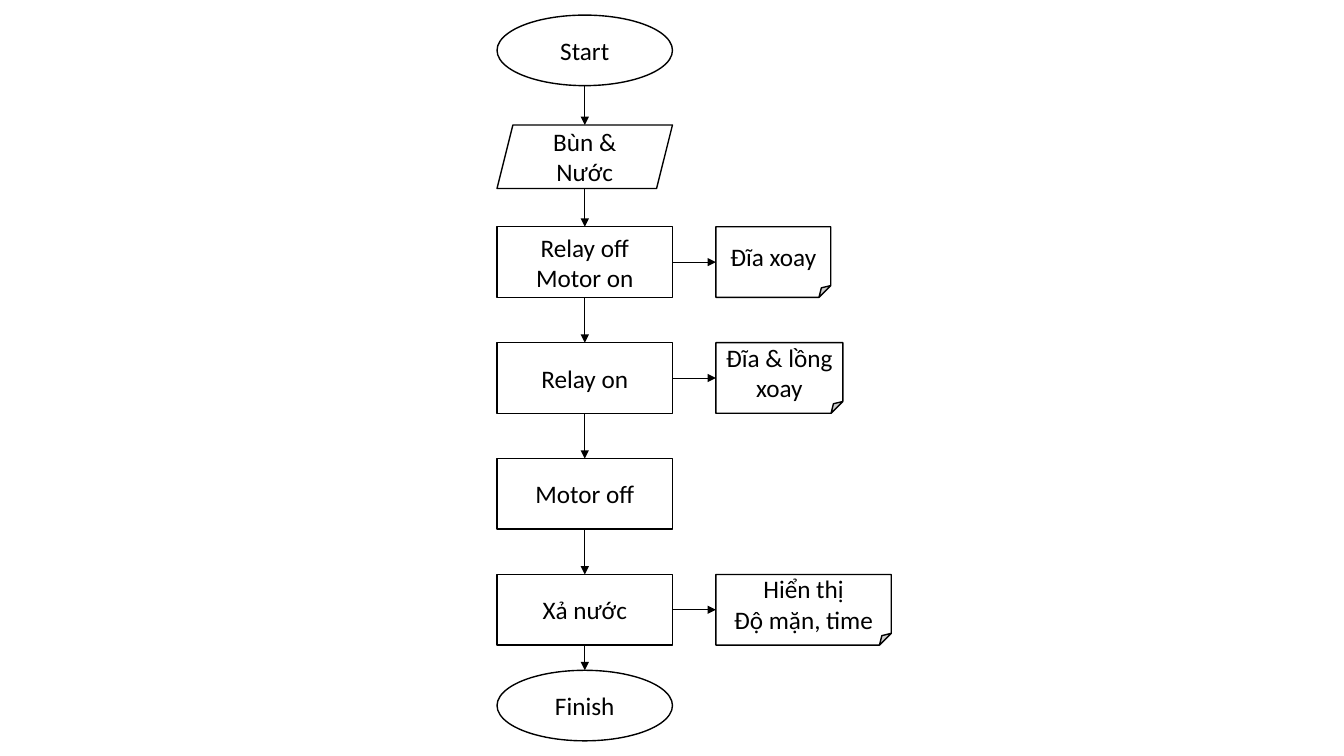
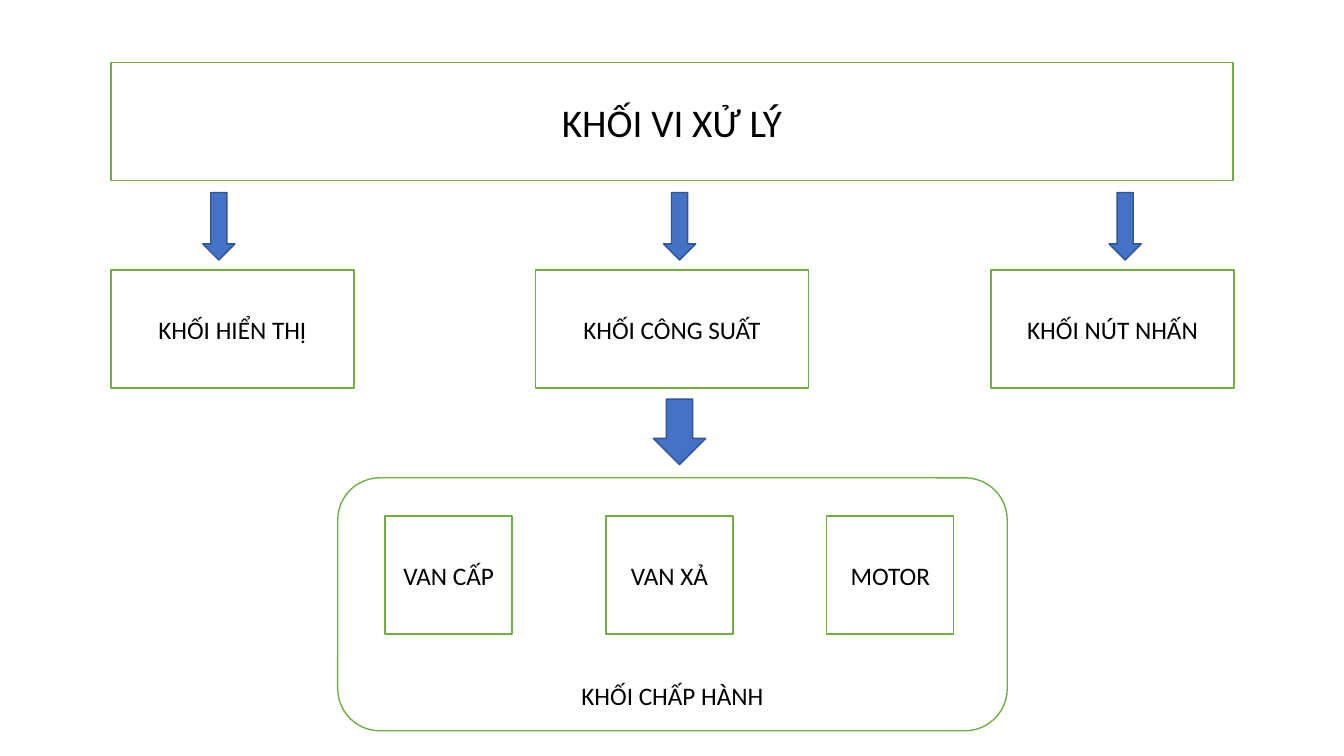
"""Builds two slides: the washing flowchart and the block diagram of the controller."""
from dataclasses import dataclass

from pptx import Presentation
from pptx.dml.color import RGBColor
from pptx.enum.shapes import MSO_CONNECTOR as Line, MSO_SHAPE as Kind
from pptx.enum.text import MSO_ANCHOR as Anchor, PP_ALIGN as Align
from pptx.oxml.ns import qn
from pptx.util import Inches, Pt
from lxml.etree import SubElement

TOP, LEFT, BOTTOM, RIGHT = range(4)


@dataclass(frozen=True)
class Theme:
    font: str = "Calibri"
    body: float = 18
    heading: float = 28
    line: float = 1
    thin: float = 0.5
    ink: str = "000000"
    paper: str = "FFFFFF"
    green: str = "70AD47"
    blue: str = "4472C4"
    navy: str = "325491"


def write(shape, text, *, font, size, color, anchor=Anchor.MIDDLE, bottom=0.05):
    frame = shape.text_frame
    frame.word_wrap = True
    frame.vertical_anchor = anchor
    frame.margin_bottom = Inches(bottom)
    frame.text = text
    for paragraph in frame.paragraphs:
        paragraph.alignment = Align.CENTER
        for run in paragraph.runs:
            run.font.name = font
            run.font.size = Pt(size)
            run.font.color.rgb = RGBColor.from_string(color)


class Deck:
    def __init__(self, theme):
        self.theme = theme
        self.show = Presentation()
        self.show.slide_width, self.show.slide_height = Inches(13.33), Inches(7.5)
        self.slide = None

    def new_slide(self):
        self.slide = self.show.slides.add_slide(self.show.slide_layouts[6])

    def group(self):
        return self.slide.shapes.add_group_shape().shapes

    def shape(self, kind, box, fill, outline, shapes=None):
        home = self.slide.shapes if shapes is None else shapes
        shape = home.add_shape(kind, *map(Inches, box))
        shape.shadow.inherit = False
        if fill is None:
            shape.fill.background()
        else:
            shape.fill.solid()
            shape.fill.fore_color.rgb = RGBColor.from_string(fill)
        shape.line.color.rgb = RGBColor.from_string(outline)
        shape.line.width = Pt(self.theme.line)
        return shape

    def step(self, text, box, kind=Kind.RECTANGLE):
        step = self.shape(kind, box, self.theme.paper, self.theme.ink)
        write(step, text, font=self.theme.font, size=self.theme.body, color=self.theme.ink)
        return step

    def block(self, text, box, size=None, shapes=None):
        block = self.shape(Kind.RECTANGLE, box, self.theme.paper, self.theme.green, shapes)
        write(block, text, font=self.theme.font, size=size or self.theme.body,
              color=self.theme.ink)

    def frame(self, text, box, shapes):
        frame = self.shape(Kind.ROUNDED_RECTANGLE, box, None, self.theme.green, shapes)
        write(frame, text, font=self.theme.font, size=self.theme.body,
              color=self.theme.ink, anchor=Anchor.BOTTOM, bottom=0.08)

    def block_arrow(self, center, top, width, height):
        self.shape(Kind.DOWN_ARROW, (center - width / 2, top, width, height),
                   self.theme.blue, self.theme.navy)

    def arrow(self, source, target, sideways=False, width=None):
        if sideways:
            start = source.left + source.width, source.top + source.height // 2
            end = target.left, target.top + target.height // 2
        else:
            start = source.left + source.width // 2, source.top + source.height
            end = target.left + target.width // 2, target.top
        arrow = self.slide.shapes.add_connector(Line.STRAIGHT, *start, *end)
        joinable = (Kind.RECTANGLE, Kind.FOLDED_CORNER)
        if source.auto_shape_type in joinable:
            arrow.begin_connect(source, RIGHT if sideways else BOTTOM)
        if target.auto_shape_type in joinable:
            arrow.end_connect(target, LEFT if sideways else TOP)
        arrow.line.color.rgb = RGBColor.from_string(self.theme.ink)
        arrow.line.width = Pt(width or self.theme.line)
        properties = arrow.element.spPr
        SubElement(properties.get_or_add_ln(), qn("a:tailEnd"), type="triangle")
        SubElement(properties, qn("a:effectLst"))


def flowchart(deck):
    deck.new_slide()
    left, width, height = 4.93, 1.74, 0.7
    first_top, pitch, note_left = 2.25, 1.15, 7.1
    actions = [
        ("Relay off\nMotor on", "Đĩa xoay", 1.14),
        ("Relay on", "Đĩa & lồng xoay", 1.26),
        ("Motor off", None, 0),
        ("Xả nước", "Hiển thị\nĐộ mặn, time", 1.74),
    ]
    flow = [
        deck.step("Start", (left, 0.15, width, height), Kind.OVAL),
        deck.step("Bùn & Nước", (left, 1.24, width, 0.63), Kind.PARALLELOGRAM),
    ]
    for row, (action, note, note_width) in enumerate(actions):
        top = first_top + row * pitch
        flow.append(deck.step(action, (left, top, width, height)))
        if note:
            result = deck.step(note, (note_left, top, note_width, height), Kind.FOLDED_CORNER)
            deck.arrow(flow[-1], result, sideways=True, width=deck.theme.thin)
    finish = deck.step("Finish", (left, 6.65, width, height), Kind.OVAL)
    for source, target in zip(flow, flow[1:]):
        deck.arrow(source, target)
    deck.arrow(flow[-1], finish, width=deck.theme.thin)


def block_diagram(deck):
    deck.new_slide()
    height = 1.17
    deck.block("KHỐI VI XỬ LÝ", (1.1, 0.62, 11.13, height), size=deck.theme.heading)
    units = [
        ("KHỐI HIỂN THỊ", 1.1, 2.41, 2.17),
        ("KHỐI CÔNG SUẤT", 5.31, 2.71, 6.74),
        ("KHỐI NÚT NHẤN", 9.83, 2.41, 11.16),
    ]
    for unit, left, width, arrow_center in units:
        deck.block(unit, (left, 2.68, width, height))
        deck.block_arrow(arrow_center, 1.91, 0.32, 0.67)
    deck.block_arrow(6.74, 3.96, 0.52, 0.65)

    actuators = deck.group()
    deck.frame("KHỐI CHẤP HÀNH", (3.35, 4.74, 6.64, 2.51), actuators)
    for column, actuator in enumerate(("VAN CẤP", "VAN XẢ", "MOTOR")):
        deck.block(actuator, (3.82 + column * 2.19, 5.12, 1.26, height), shapes=actuators)


def main():
    deck = Deck(Theme())
    flowchart(deck)
    block_diagram(deck)
    deck.show.save("out.pptx")


if __name__ == "__main__":
    main()
